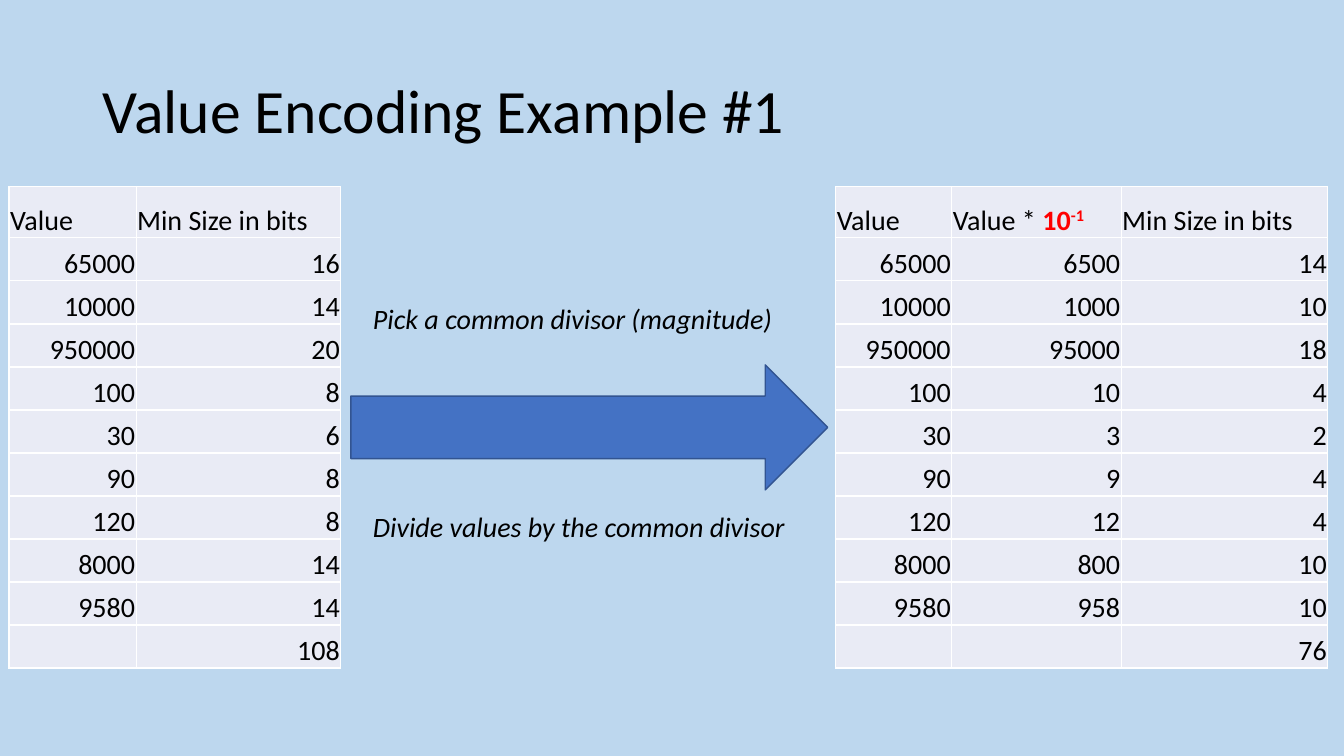
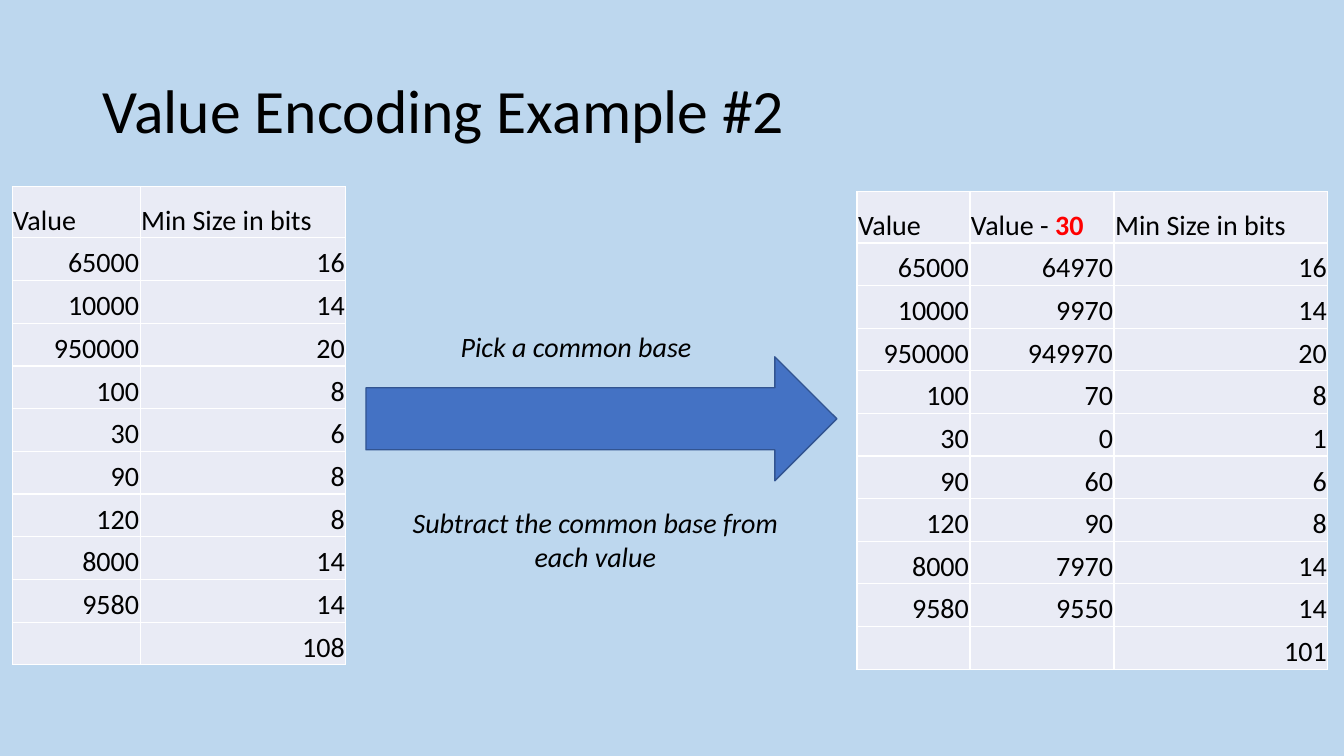
from dataclasses import dataclass

from lxml.etree import SubElement
from pptx import Presentation
from pptx.dml.color import RGBColor
from pptx.enum.shapes import MSO_SHAPE
from pptx.enum.text import MSO_ANCHOR, PP_ALIGN
from pptx.oxml.ns import qn
from pptx.util import Inches, Pt


@dataclass(frozen=True)
class Theme:
    font: str = "Calibri"
    background: str = "BDD7EE"
    text: str = "000000"
    highlight: str = "FF0000"
    cell: str = "E9EBF5"
    border: str = "FFFFFF"
    arrow: str = "4472C4"
    arrow_line: str = "325491"
    title_size: int = 44
    body_size: int = 20
    line_width: int = 1


THEME = Theme()
SLIDE_SIZE = (13.33, 7.5)
TITLE_BOX = (0.92, 0.4, 11.5, 1.45)
HEADER_HEIGHT = 0.51
CELL_INSET = 0.01

VALUES = [65000, 10000, 950000, 100, 30, 90, 120, 8000, 9580]
VALUE_BITS = [16, 14, 20, 8, 6, 8, 8, 14, 14]
VALUE_HEAD = [("Value", "plain")]
BITS_HEAD = [("Min Size in bits", "plain")]

# Each box is left, top, width, height; each table place is left, top, height.
EXAMPLES = [
    {
        "title": "Value Encoding Example #1",
        "encoded_head": [("Value * ", "plain"), ("10", "strong"), ("-1", "power")],
        "encoded": [value // 10 for value in VALUES],
        "encoded_bits": [14, 10, 18, 4, 2, 4, 4, 10, 10],
        "before": {"place": (0.09, 1.85, 4.78), "columns": (1.26, 2.03)},
        "after": {"place": (8.29, 1.85, 4.78), "columns": (1.15, 1.68, 2.05)},
        "arrow": (3.48, 3.62, 4.73, 1.24),
        "steps": [
            ((3.6, 2.94, 4.92, 0.44), PP_ALIGN.LEFT, ["Pick a common divisor (magnitude)"]),
            ((3.6, 5.01, 5.06, 0.44), PP_ALIGN.LEFT, ["Divide values by the common divisor"]),
        ],
    },
    {
        "title": "Value Encoding Example #2",
        "encoded_head": [("Value - ", "plain"), ("30", "strong")],
        "encoded": [value - 30 for value in VALUES],
        "encoded_bits": [16, 14, 20, 8, 1, 6, 8, 14, 14],
        "before": {"place": (0.12, 1.85, 4.75), "columns": (1.27, 2.04)},
        "after": {"place": (8.5, 1.9, 4.74), "columns": (1.12, 1.43, 2.12)},
        "arrow": (3.63, 3.54, 4.67, 1.23),
        "steps": [
            ((4.47, 3.22, 2.97, 0.44), PP_ALIGN.LEFT, ["Pick a common base"]),
            ((3.63, 4.97, 4.55, 0.77), PP_ALIGN.CENTER,
             ["Subtract the common base from", "each value"]),
        ],
    },
]


def rgb(color):
    return RGBColor.from_string(color)


def inches(lengths):
    return [Inches(length) for length in lengths]


def add_run(paragraph, text, size=THEME.body_size, style="plain"):
    run = paragraph.add_run()
    run.text = text
    font = run.font
    font.name = THEME.font
    font.size = Pt(size)
    font.italic = style == "step"
    font.bold = style in ("strong", "power")
    font.color.rgb = rgb(THEME.highlight if font.bold else THEME.text)
    if style == "power":
        run._r.get_or_add_rPr().set("baseline", "30000")


def add_text(slide, box, lines, size, style, align, anchor):
    frame = slide.shapes.add_textbox(*inches(box)).text_frame
    frame.word_wrap = True
    frame.vertical_anchor = anchor
    for number, line in enumerate(lines):
        paragraph = frame.add_paragraph() if number else frame.paragraphs[0]
        paragraph.alignment = align
        add_run(paragraph, line, size, style)
    return frame


def add_title(slide, title):
    frame = add_text(slide, TITLE_BOX, [title], THEME.title_size, "plain",
                     PP_ALIGN.LEFT, MSO_ANCHOR.MIDDLE)
    frame.paragraphs[0].line_spacing = 0.9


def add_arrow(slide, box):
    arrow = slide.shapes.add_shape(MSO_SHAPE.RIGHT_ARROW, *inches(box))
    arrow.shadow.inherit = False
    arrow.fill.solid()
    arrow.fill.fore_color.rgb = rgb(THEME.arrow)
    arrow.line.color.rgb = rgb(THEME.arrow_line)
    arrow.line.width = Pt(THEME.line_width)


def style_cell(cell):
    """Borders go in before the fill, as the schema orders them."""
    properties = cell._tc.get_or_add_tcPr()
    for side in ("a:lnL", "a:lnR", "a:lnT", "a:lnB"):
        border = SubElement(properties, qn(side), w=str(Pt(THEME.line_width)))
        SubElement(SubElement(border, qn("a:solidFill")), qn("a:srgbClr"), val=THEME.border)
    cell.fill.solid()
    cell.fill.fore_color.rgb = rgb(THEME.cell)
    cell.vertical_anchor = MSO_ANCHOR.BOTTOM
    cell.margin_left = cell.margin_right = cell.margin_top = Inches(CELL_INSET)
    cell.margin_bottom = 0


def add_value_table(slide, layout, heads, columns):
    """Draw number columns under their heads, with the last column's total below."""
    left, top, height = layout["place"]
    widths = layout["columns"]
    totals = [""] * (len(columns) - 1) + [sum(columns[-1])]
    rows = [*zip(*columns), totals]
    table = slide.shapes.add_table(len(rows) + 1, len(widths),
                                   *inches((left, top, sum(widths), height))).table
    table.first_row = table.horz_banding = False
    for column, width in zip(table.columns, widths):
        column.width = Inches(width)
    row_height = (height - HEADER_HEIGHT) / len(rows)
    for number, row in enumerate(table.rows):
        row.height = Inches(row_height if number else HEADER_HEIGHT)
    for cell in table.iter_cells():
        style_cell(cell)
    for column, head in enumerate(heads):
        for text, style in head:
            add_run(table.cell(0, column).text_frame.paragraphs[0], text, style=style)
    for number, row in enumerate(rows, start=1):
        for column, value in enumerate(row):
            paragraph = table.cell(number, column).text_frame.paragraphs[0]
            paragraph.alignment = PP_ALIGN.RIGHT
            if value != "":
                add_run(paragraph, str(value))


def add_example(slide, example):
    add_title(slide, example["title"])
    add_arrow(slide, example["arrow"])
    add_value_table(slide, example["before"], [VALUE_HEAD, BITS_HEAD], [VALUES, VALUE_BITS])
    add_value_table(slide, example["after"],
                    [VALUE_HEAD, example["encoded_head"], BITS_HEAD],
                    [VALUES, example["encoded"], example["encoded_bits"]])
    for box, align, lines in example["steps"]:
        add_text(slide, box, lines, THEME.body_size, "step", align, MSO_ANCHOR.TOP)


def main():
    deck = Presentation()
    deck.slide_width, deck.slide_height = inches(SLIDE_SIZE)
    background = deck.slide_master.background.fill
    background.solid()
    background.fore_color.rgb = rgb(THEME.background)
    for example in EXAMPLES:
        add_example(deck.slides.add_slide(deck.slide_layouts[6]), example)
    deck.save("out.pptx")


if __name__ == "__main__":
    main()
